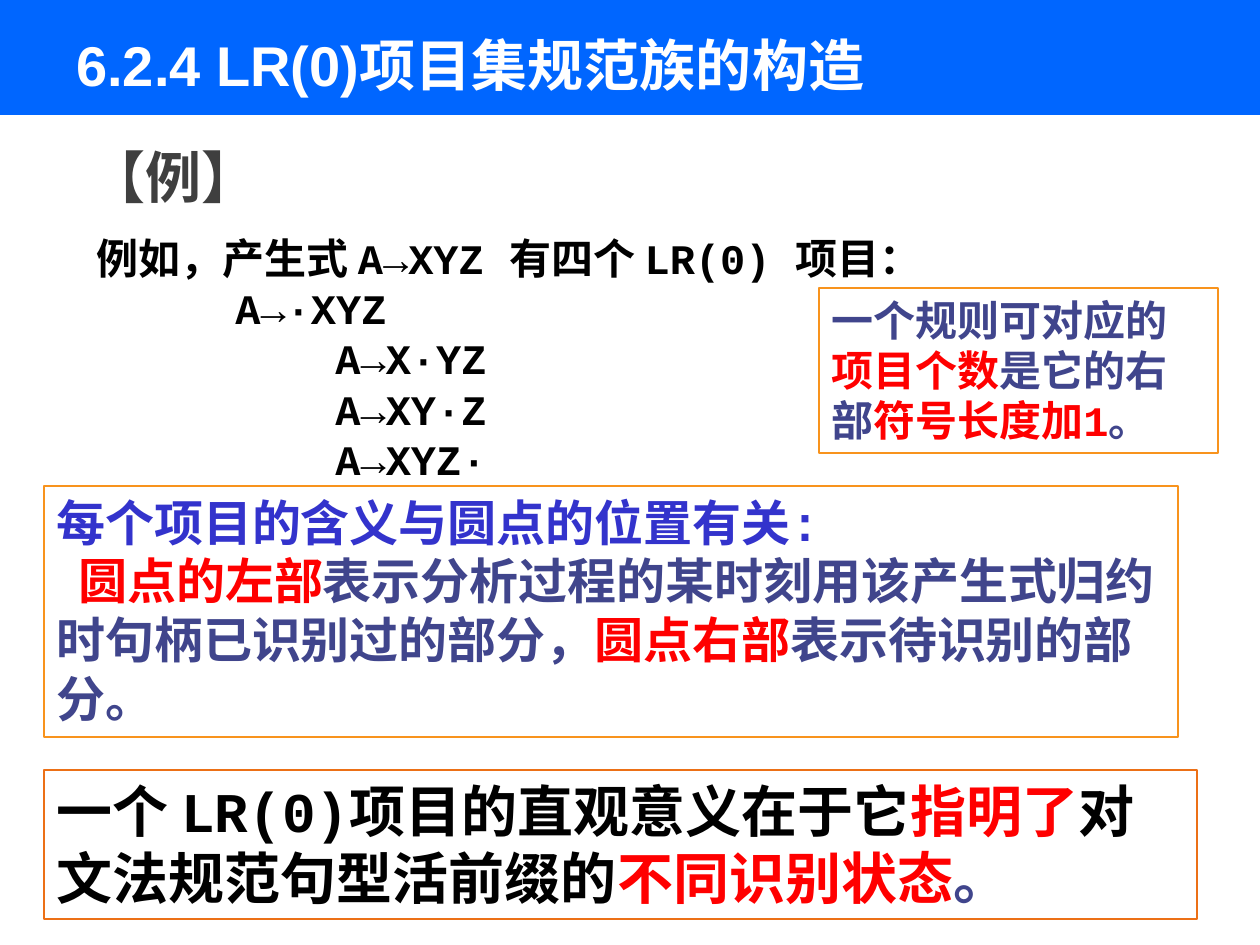
from dataclasses import dataclass

from lxml import etree
from pptx import Presentation
from pptx import util as u
from pptx.dml.color import RGBColor
from pptx.enum import shapes, text
from pptx.oxml import ns

EMU_PER_PX = 914400 / 126


@dataclass(frozen=True)
class Theme:
    banner: str = "0066FF"
    white: str = "FFFFFF"
    gray: str = "3F3F3F"
    black: str = "000000"
    navy: str = "40458C"
    blue: str = "3333CC"
    red: str = "FF0000"
    orange: str = "F8931D"
    rust: str = "EC7016"
    heading: int = 32
    meaning: int = 28
    body: int = 24
    sans: str = "Arial"
    mono: str = "Courier New"
    chinese: str = "Noto Sans CJK SC"


THEME = Theme()


@dataclass(frozen=True)
class Span:
    words: str
    color: str


@dataclass(frozen=True)
class Para:
    spans: tuple[Span, ...]
    margin: int = 0
    indent: int = 0


@dataclass(frozen=True)
class Box:
    left: int
    top: int
    width: int
    height: int
    size: int
    paras: tuple[Para, ...]
    font: str = THEME.mono
    border: str | None = None
    middle: bool = False


def px(length: int) -> u.Emu:
    return u.Emu(round(length * EMU_PER_PX))


def rgb(color: str) -> RGBColor:
    return RGBColor.from_string(color)


def line(words: str, color: str, margin: int = 0) -> Para:
    return Para((Span(words, color),), margin)


def add_rectangle(page, left: int, top: int, width: int, height: int, fill: str):
    shape = page.shapes.add_shape(shapes.MSO_SHAPE.RECTANGLE,
                                  px(left), px(top), px(width), px(height))
    shape.shadow.inherit = False
    shape.fill.solid()
    shape.fill.fore_color.rgb = rgb(fill)
    shape.line.fill.background()
    return shape


def write_para(paragraph, para: Para, box: Box) -> None:
    paragraph.alignment = text.PP_ALIGN.LEFT
    properties = paragraph._p.get_or_add_pPr()
    properties.set("marL", str(px(para.margin)))
    properties.set("indent", str(px(para.indent)))
    font = paragraph.font
    font.size, font.bold, font.name = u.Pt(box.size), True, box.font
    colors = {span.color for span in para.spans}
    if len(colors) == 1:
        font.color.rgb = rgb(para.spans[0].color)
    east_asian = etree.SubElement(properties.find(ns.qn("a:defRPr")), ns.qn("a:ea"))
    east_asian.set("typeface", THEME.chinese)
    for span in para.spans:
        run = paragraph.add_run()
        run.text = span.words
        if len(colors) > 1:
            run.font.color.rgb = rgb(span.color)


def add_box(page, box: Box) -> None:
    place = box.left, box.top, box.width, box.height
    if box.border:
        shape = add_rectangle(page, *place, THEME.white)
        shape.line.color.rgb = rgb(box.border)
        shape.line.width = u.Pt(1)
    else:
        shape = page.shapes.add_textbox(*map(px, place))
    frame = shape.text_frame
    frame.word_wrap = True
    frame.vertical_anchor = (text.MSO_ANCHOR.MIDDLE if box.middle
                             else text.MSO_ANCHOR.TOP)
    for index, para in enumerate(box.paras):
        paragraph = frame.add_paragraph() if index else frame.paragraphs[0]
        write_para(paragraph, para, box)


BOXES = (
    Box(77, 127, 1133, 98, THEME.heading, (line("【例】", THEME.gray),),
        font=THEME.chinese, middle=True),
    Box(84, 226, 1134, 267, THEME.body, (
        line("例如，产生式 A→XYZ 有四个 LR(0) 项目：", THEME.black),
        line("A→∙XYZ", THEME.black, 139),
        *(line(item, THEME.black, 239) for item in ("A→X∙YZ", "A→XY∙Z", "A→XYZ∙")),
    )),
    Box(819, 288, 399, 165, THEME.body, (Para((
        Span("一个规则可对应的", THEME.navy),
        Span("项目个数", THEME.red),
        Span("是它的右部", THEME.navy),
        Span("符号长度加1", THEME.red),
        Span("。", THEME.navy),
    )),), border=THEME.orange),
    Box(44, 486, 1134, 251, THEME.meaning, (
        line("每个项目的含义与圆点的位置有关:", THEME.blue),
        Para((
            Span("圆点的左部", THEME.red),
            Span("表示分析过程的某时刻用该产生式归约时句柄已识别过的部分，", THEME.navy),
            Span("圆点右部", THEME.red),
            Span("表示待识别的部分。", THEME.navy),
        ), indent=22),
    ), border=THEME.orange),
    Box(64, 15, 1133, 98, THEME.heading,
        (line("6.2.4 LR(0)项目集规范族的构造", THEME.white),),
        font=THEME.sans, middle=True),
    Box(44, 770, 1153, 149, THEME.heading, (Para((
        Span("一个 LR(0)项目的直观意义在于它", THEME.black),
        Span("指明了", THEME.red),
        Span("对文法规范句型活前缀的", THEME.black),
        Span("不同识别状态", THEME.red),
        Span("。", THEME.navy),
    )),), border=THEME.rust),
)


def main() -> None:
    deck = Presentation()
    deck.slide_width, deck.slide_height = px(1260), px(945)
    page = deck.slides.add_slide(deck.slide_layouts[6])
    add_rectangle(page, 0, 0, 1260, 115, THEME.banner)
    for box in BOXES:
        add_box(page, box)
    deck.save("out.pptx")


if __name__ == "__main__":
    main()
